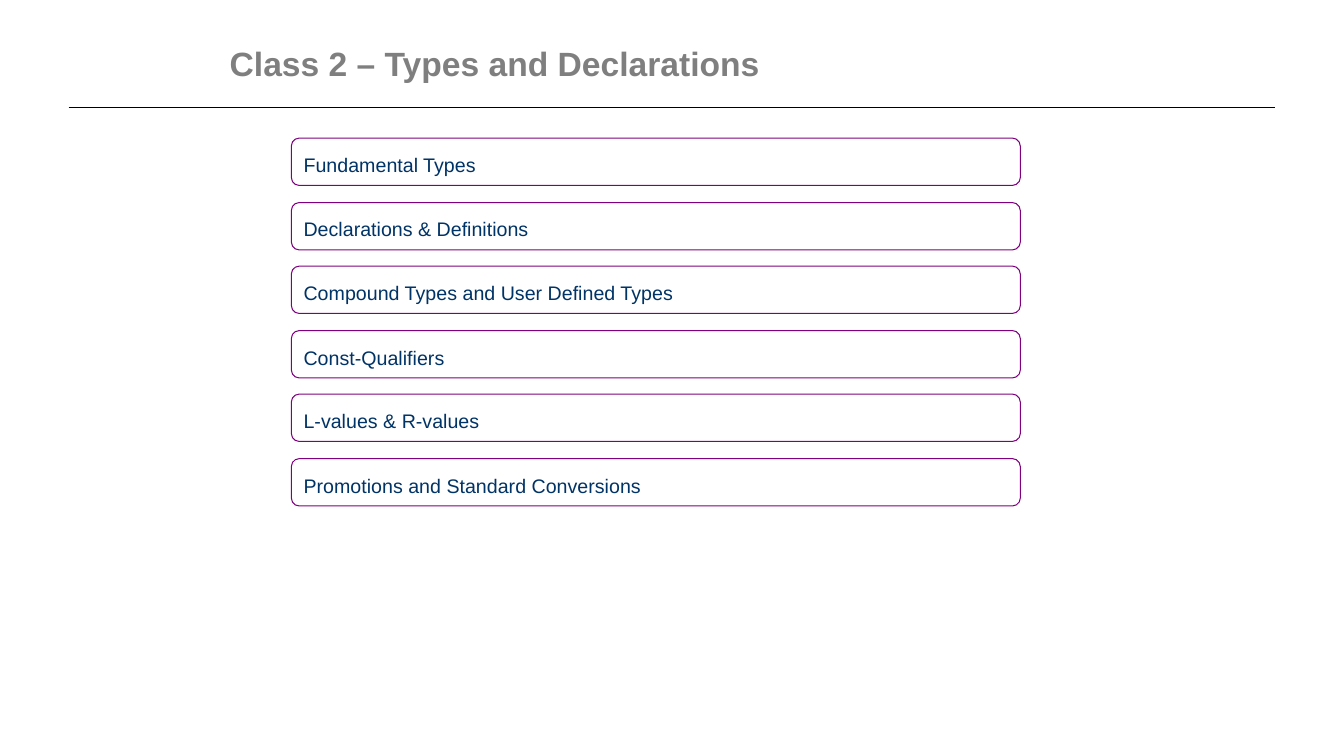
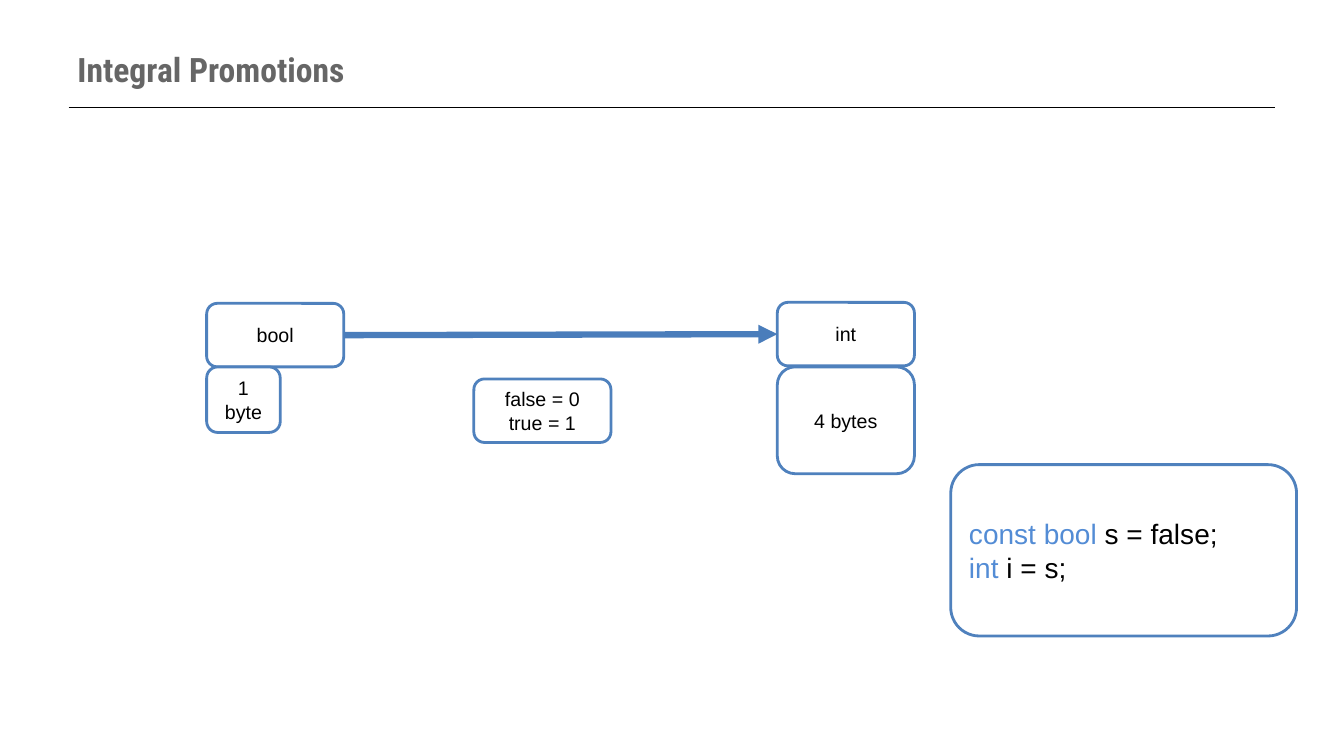
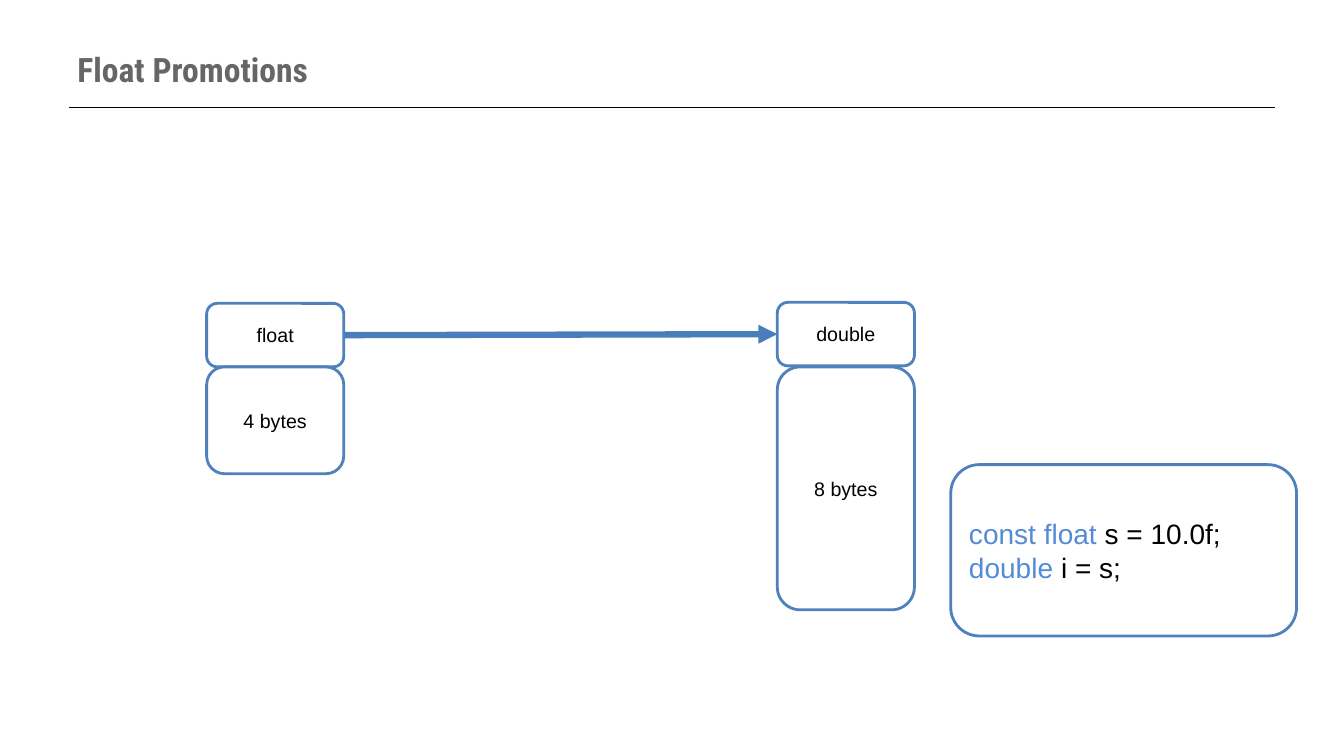
import lxml.etree
import pptx
import pptx.dml.color
import pptx.enum.shapes
import pptx.enum.text
import pptx.oxml.ns
import pptx.util

PX = 9144  # EMU in one px, 100 px to the inch
COLORS = {
    "rule": "000000",
    "code": "000000",
    "agenda_title": "7F7F7F",
    "title": "666666",
    "agenda_line": "800080",
    "agenda_text": "003366",
    "box_fill": "FFFFFF",
    "box_line": "4F81BD",
    "arrow": "4A7DBB",
    "keyword": "538CD5",
}
ALIGN = pptx.enum.text.PP_ALIGN
MIDDLE = pptx.enum.text.MSO_ANCHOR.MIDDLE
ROUNDED = pptx.enum.shapes.MSO_SHAPE.ROUNDED_RECTANGLE
STRAIGHT = pptx.enum.shapes.MSO_CONNECTOR.STRAIGHT
LEFT_SITE, RIGHT_SITE = 1, 3
TYPE_W, TYPE_H = 136, 63
FROM_X, TO_X = 205, 771


def rgb(name):
    return pptx.dml.color.RGBColor.from_string(COLORS[name])


def lengths(*values):
    return [pptx.util.Emu(v * PX) for v in values]


class Deck:
    def __init__(self):
        self.prs = pptx.Presentation()
        self.prs.slide_width, self.prs.slide_height = lengths(1333, 750)
        self.s = None

    def slide(self):
        """Start a blank slide with the rule under the title."""
        self.s = self.prs.slides.add_slide(self.prs.slide_layouts[6])
        self.line((68, 107), (1265, 107), "rule", 0.75)

    def line(self, start, end, color, width):
        line = self.s.shapes.add_connector(STRAIGHT, *lengths(*start, *end))
        line.line.color.rgb = rgb(color)
        line.line.width = pptx.util.Pt(width)
        lxml.etree.SubElement(line._element.spPr, pptx.oxml.ns.qn("a:effectLst"))
        return line

    def arrow(self, source, target):
        arrow = self.line((0, 0), (0, 0), "arrow", 4.5)
        arrow.begin_connect(source, RIGHT_SITE)
        arrow.end_connect(target, LEFT_SITE)
        ln = arrow.line._get_or_add_ln()
        lxml.etree.SubElement(ln, pptx.oxml.ns.qn("a:tailEnd"), type="triangle")

    def text(self, shape, paragraphs, size, align=ALIGN.LEFT, spacing=None,
             name="Arial", bold=False):
        """Fill a shape with paragraphs, each a list of (text, colour) runs."""
        tf = shape.text_frame
        tf.word_wrap = True
        tf.vertical_anchor = MIDDLE
        font = {"name": name, "size": pptx.util.Pt(size), "bold": bold}
        for i, runs in enumerate(paragraphs):
            p = tf.add_paragraph() if i else tf.paragraphs[0]
            p.alignment = align
            p.line_spacing = spacing
            for text, color in runs:
                r = p.add_run()
                r.text = text
                r.font.color.rgb = rgb(color)
                for key, value in font.items():
                    setattr(r.font, key, value)

    def title(self, text, at=(67, 30, 1200, 77), color="title",
              name="Roboto Condensed"):
        box = self.s.shapes.add_textbox(*lengths(*at))
        self.text(box, [[(text, color)]], 24, name=name, bold=True)

    def rounded(self, at, line, width, fill=None):
        sp = self.s.shapes.add_shape(ROUNDED, *lengths(*at))
        sp.shadow.inherit = False
        if fill:
            sp.fill.solid()
            sp.fill.fore_color.rgb = rgb(fill)
        else:
            sp.fill.background()
        sp.line.color.rgb = rgb(line)
        sp.line.width = pptx.util.Pt(width)
        return sp

    def agenda(self, items):
        for i, item in enumerate(items):
            sp = self.rounded((289, round(137 + 63.6 * i), 723, 47),
                              "agenda_line", 0.75)
            self.text(sp, [[(item, "agenda_text")]], 14, spacing=1.25)

    def box(self, at, *texts):
        sp = self.rounded(at, "box_line", 2, "box_fill")
        self.text(sp, [[(t, "code")] for t in texts], 14, ALIGN.CENTER)
        return sp

    def code(self, *rows):
        """Show rows of (keywords, rest) in the code panel."""
        sp = self.rounded((943, 461, 343, 170), "box_line", 2, "box_fill")
        self.text(sp, [[(keywords, "keyword"), (rest, "code")]
                       for keywords, rest in rows], 20)

    def promotion(self, title, source, target, value):
        """Draw a promotion; each type is (name, size text, width, height)."""
        self.slide()
        self.title(title)
        types = []
        for x, y, (name, size, w, h) in ((FROM_X, 301, source),
                                         (TO_X, 300, target)):
            types.append(self.box((x, y, TYPE_W, TYPE_H), name))
            self.box((x, 364, w, h), size)
        self.arrow(*types)
        self.code((f"const {source[0]} ", f"s = {value};"),
                  (f"{target[0]} ", "i = s;"))


def main():
    deck = Deck()
    deck.slide()
    deck.title("Class 2 – Types and Declarations", (218, 0, 900, 125),
               "agenda_title", "Arial")
    deck.agenda([
        "Fundamental Types",
        "Declarations & Definitions",
        "Compound Types and User Defined Types",
        "Const-Qualifiers",
        "L-values & R-values",
        "Promotions and Standard Conversions",
    ])

    deck.promotion("Integral Promotions", ("bool", "1 byte", 73, 65),
                   ("int", "4 bytes", TYPE_W, 106), "false")
    deck.box((470, 376, TYPE_W, TYPE_H), "false = 0", "true = 1")

    deck.promotion("Float Promotions", ("float", "4 bytes", TYPE_W, 106),
                   ("double", "8 bytes", TYPE_W, 241), "10.0f")
    deck.prs.save("out.pptx")


if __name__ == "__main__":
    main()
